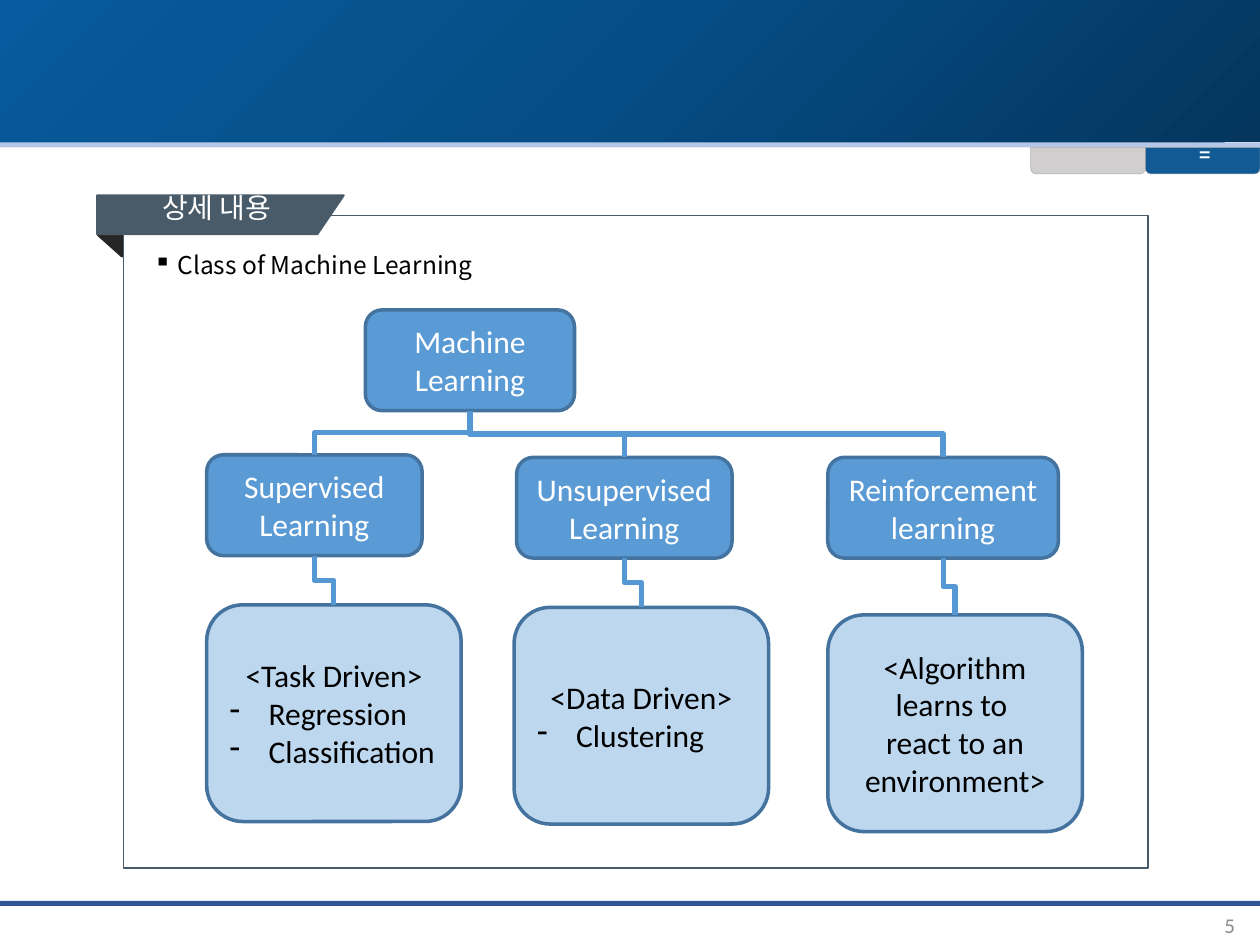
from copy import deepcopy
from pptx import Presentation
from pptx.dml.color import RGBColor
from pptx.enum.shapes import MSO_CONNECTOR, MSO_SHAPE
from pptx.enum.text import MSO_ANCHOR, PP_ALIGN
from pptx.oxml.ns import qn
from pptx.oxml.xmlchemy import OxmlElement
from pptx.util import Inches, Pt

RECT, ROUND = MSO_SHAPE.RECTANGLE, MSO_SHAPE.ROUNDED_RECTANGLE
TAB = MSO_SHAPE.ROUND_2_SAME_RECTANGLE
ELBOW = MSO_CONNECTOR.ELBOW
TOP, MIDDLE = MSO_ANCHOR.TOP, MSO_ANCHOR.MIDDLE
LEFT, CENTER, RIGHT = PP_ALIGN.LEFT, PP_ALIGN.CENTER, PP_ALIGN.RIGHT

THEME = {
    "latin": "Calibri", "asian": "Noto Sans CJK KR",
    "white": "FFFFFF", "black": "000000", "gray": "8C8C8C",
    "header": ["04365E", "064D85", "075B9E"],
    "strip": "B4C7E7", "footer": "2F5597", "slate": "495B69", "fold": "262626",
    "idle": "D0CECE", "active": "115A94", "edge": "AFABAB",
    "node": "5B9BD5", "leaf": "BDD7EE", "border": "43739E", "link": "5698D3",
    "tree": 18, "title": 16, "body": 14, "page": 12, "mark": 11,
}

ROOT = ((2.9, 2.46, 1.66, 0.8), ["Machine Learning"])
BRANCHES = [
    ((1.64, 3.61, 1.71, 0.8), ["Supervised Learning"],
     (1.64, 4.8), ["<Task Driven>", "- Regression", "- Classification"]),
    ((4.1, 3.63, 1.71, 0.8), ["Unsupervised Learning"],
     (4.08, 4.82), ["<Data Driven>", "- Clustering"]),
    ((6.57, 3.63, 1.83, 0.8), ["Reinforcement", "learning"],
     (6.57, 4.88), ["<Algorithm learns to ", "react to an environment>"]),
]
LEAF = (2.02, 1.72)
BANDS = [((0, 1.13, 10, 0.04), "strip"), ((0, 7.15, 10, 0.04), "footer")]
TABS = [(8.18, "idle"), (9.09, "active")]
FOLD = [(0.97, 1.86), (0.78, 1.86), (0.97, 2.03)]
BANNER = [(0.77, 1.55), (2.73, 1.55), (2.52, 1.86), (0.77, 1.86)]
FRAME = (0.98, 1.71, 8.13, 5.18)


def color(key):
    return RGBColor.from_string(THEME[key])


def paint(shape, fill=None, line=None, width=1):
    shape.shadow.inherit = False
    if fill:
        shape.fill.solid()
        shape.fill.fore_color.rgb = color(fill)
    else:
        shape.fill.background()
    if line:
        shape.line.color.rgb = color(line)
        shape.line.width = Pt(width)
    else:
        shape.line.fill.background()
    return shape


def block(slide, kind, box, *style):
    return paint(slide.shapes.add_shape(kind, *map(Inches, box)), *style)


def outline(slide, points, *style):
    start, *rest = [(Inches(x), Inches(y)) for x, y in points]
    form = slide.shapes.build_freeform(*start)
    form.add_line_segments(rest)
    return paint(form.convert_to_shape(), *style)


def style(par, face, size, ink, align=LEFT, bold=False):
    par.alignment = align
    font = par.font
    font.size, font.bold = Pt(THEME[size]), bold
    font.color.rgb = color(ink)
    font.name = THEME[face]
    east = OxmlElement("a:ea")
    east.set("typeface", THEME[face])
    par._p.pPr.find(qn("a:defRPr")).append(east)


def indent(par, depth, char=None):
    props = par._p.get_or_add_pPr()
    props.set("marL", str(Inches(depth)))
    props.set("indent", str(-Inches(depth)))
    if char:
        mark = OxmlElement("a:buChar")
        mark.set("char", char)
        props.find(qn("a:defRPr")).addprevious(mark)


def label(slide, box, text, face, size, ink, align=LEFT, anchor=TOP, bold=False):
    frame = slide.shapes.add_textbox(*map(Inches, box)).text_frame
    frame.word_wrap, frame.vertical_anchor = True, anchor
    frame.margin_top = frame.margin_bottom = 0
    par = frame.paragraphs[0]
    par.text = text
    if anchor == TOP:
        par.line_spacing = 0.9
    style(par, face, size, ink, align, bold)
    return par


def node(slide, box, lines, fill, ink):
    frame = block(slide, ROUND, box, fill, "border", 2).text_frame
    frame.word_wrap, frame.vertical_anchor = True, MIDDLE
    for i, line in enumerate(lines):
        par = frame.add_paragraph() if i else frame.paragraphs[0]
        item = line.startswith("- ")
        par.text = line.removeprefix("- ")
        style(par, "latin", "tree", ink, LEFT if item else CENTER)
        if item:
            indent(par, 0.31, "-")


def link(slide, above, below):
    x1, y1 = above[0] + above[2] / 2, above[1] + above[3]
    x2, y2 = below[0] + below[2] / 2, below[1]
    drop, span = y2 - y1, abs(x2 - x1)
    left, top = (x1 + x2 - drop) / 2, (y1 + y2 - span) / 2
    ends = [left, top, left + drop, top + span]
    if x2 > x1:
        ends[0], ends[2] = ends[2], ends[0]
    line = slide.shapes.add_connector(ELBOW, *map(Inches, ends))
    line.line.color.rgb = color("link")
    line.line.width = Pt(3)
    props = line._element.spPr
    props.find(qn("a:xfrm")).set("rot", str((270 if x2 > x1 else 90) * 60000))
    props.append(OxmlElement("a:effectLst"))


def header(slide):
    fill = block(slide, RECT, (0, 0, 10, 1.13)).fill
    fill.gradient()
    fill.gradient_angle = 135
    first = fill.gradient_stops[0]._gs
    first.addnext(deepcopy(first))
    for i, (stop, code) in enumerate(zip(fill.gradient_stops, THEME["header"])):
        stop.position = i / 2
        stop.color.rgb = RGBColor.from_string(code)


def main():
    deck = Presentation()
    deck.slide_width, deck.slide_height = Inches(10), Inches(7.5)
    slide = deck.slides.add_slide(deck.slide_layouts[6])

    header(slide)
    for box, fill in BANDS:
        block(slide, RECT, box, fill)
    for left, fill in TABS:
        tab = block(slide, TAB, (left, 1.17, 0.91, 0.21), fill, "edge", 0.25)
        tab.adjustments[0] = 0.2
        tab.rotation = 180
    outline(slide, FOLD, "fold", "fold", 2)
    outline(slide, BANNER, "slate", "slate")
    block(slide, RECT, FRAME, None, "slate")

    label(slide, (7.65, 7.26, 2.25, 0.16), "5", "latin", "page", "gray", RIGHT, MIDDLE)
    topic = label(slide, (1.12, 2.01, 7.62, 0.3), "Class of Machine Learning",
                  "asian", "body", "black")
    indent(topic, 0.19, "▪")
    label(slide, (1.19, 1.54, 2, 0.23), "상세 내용", "asian", "title", "white")
    label(slide, (9.11, 1.16, 0.91, 0.2), "=", "asian", "mark", "white", CENTER, bold=True)

    root, name = ROOT
    node(slide, root, name, "node", "white")
    for box, lines, spot, notes in BRANCHES:
        leaf = spot + LEAF
        node(slide, box, lines, "node", "white")
        node(slide, leaf, notes, "leaf", "black")
        link(slide, root, box)
        link(slide, box, leaf)

    deck.save("out.pptx")


if __name__ == "__main__":
    main()
